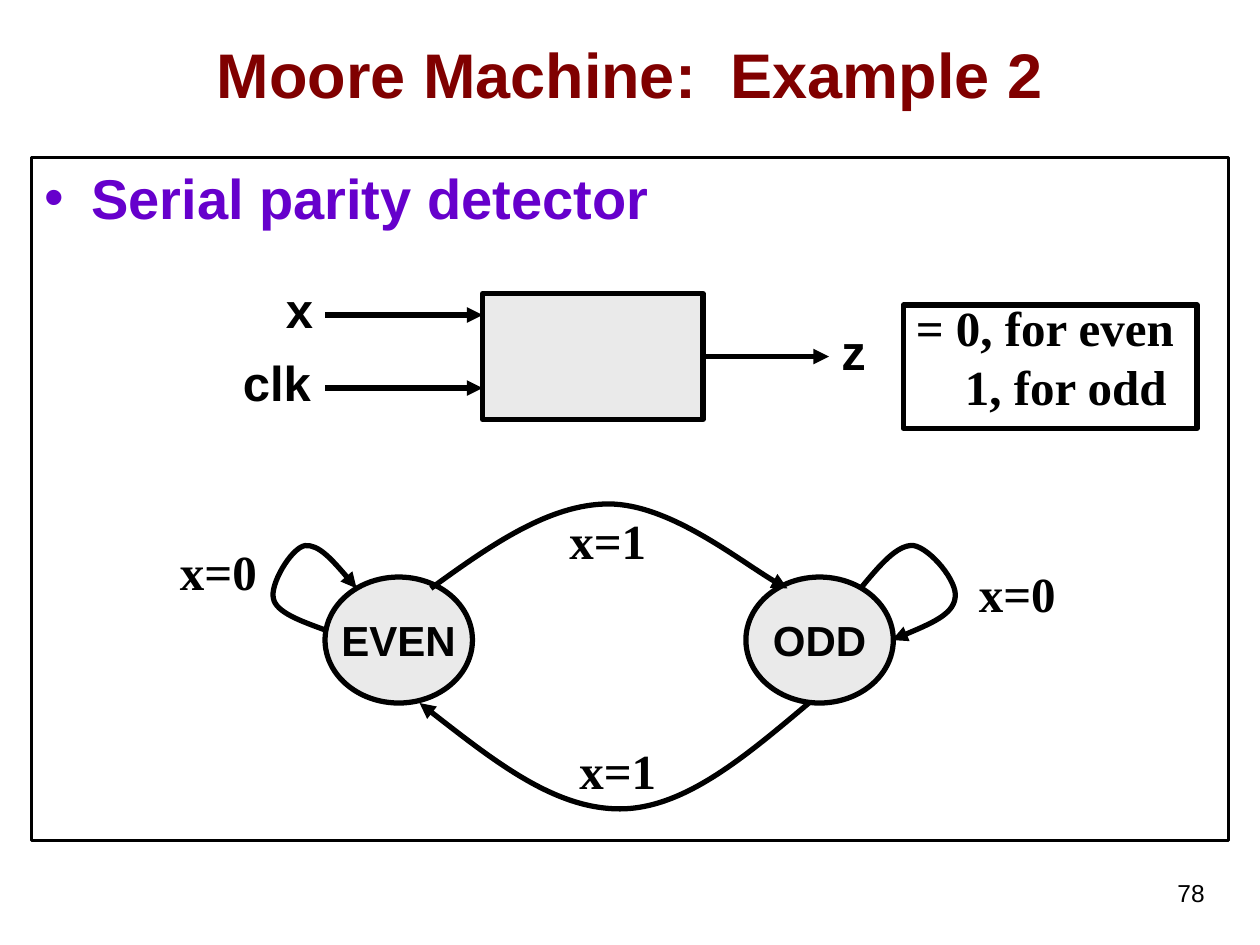
from pptx import Presentation
from pptx.dml.color import RGBColor
from pptx.enum.shapes import MSO_CONNECTOR, MSO_SHAPE
from pptx.enum.text import MSO_ANCHOR, MSO_AUTO_SIZE, PP_ALIGN
from pptx.oxml.ns import qn
from pptx.util import Inches, Pt
from lxml.etree import SubElement

BLACK = "000000"
GRAY = "EAEAEA"
SERIF = "Times New Roman"


def color(value):
    return RGBColor.from_string(value)


def place(sp, x, y, w, h):
    sp.left, sp.top, sp.width, sp.height = map(Inches, (x, y, w, h))


def set_line(sp, width=3):
    sp.line.color.rgb = color(BLACK)
    sp.line.width = Pt(width)


def add_arrowhead(sp):
    SubElement(sp.line._get_or_add_ln(), qn("a:tailEnd"), type="triangle")


def write(sp, text, size=28, font="Arial", fill=BLACK, bold=True, align=None,
          anchor=None, wrap=True, spacing=None, before=None):
    tf = sp.text_frame
    tf.word_wrap = wrap
    tf.auto_size = MSO_AUTO_SIZE.NONE
    if anchor is not None:
        tf.vertical_anchor = anchor
    tf.text = text
    for p in tf.paragraphs:
        p.alignment = align
        p.line_spacing = spacing
        p.space_before = before
        f = p.runs[0].font
        f.size, f.name, f.bold = Pt(size), font, bold
        f.color.rgb = color(fill)
    return tf


def add_label(s, text, x, y, w, h=0.57, **fmt):
    sp = s.shapes.add_textbox(*map(Inches, (x, y, w, h)))
    return write(sp, text, **fmt)


def add_box(s, kind, x, y, w, h, fill=None):
    sp = s.shapes.add_shape(kind, *map(Inches, (x, y, w, h)))
    sp.shadow.inherit = False
    if fill:
        sp.fill.solid()
        sp.fill.fore_color.rgb = color(fill)
    else:
        sp.fill.background()
    set_line(sp)
    return sp


def add_state(s, name, x):
    sp = add_box(s, MSO_SHAPE.OVAL, x, 4.58, 1.17, 1, GRAY)
    write(sp, name, size=24, align=PP_ALIGN.CENTER,
          anchor=MSO_ANCHOR.MIDDLE, wrap=False)


def add_arrow(s, x1, x2, y):
    cn = s.shapes.add_connector(MSO_CONNECTOR.STRAIGHT,
                                *map(Inches, (x1, y, x2, y)))
    set_line(cn)
    add_arrowhead(cn)
    SubElement(cn._element.spPr, qn("a:effectLst"))


def add_curve(s, points):
    start, *rest = [(Inches(x), Inches(y)) for x, y in points]
    fb = s.shapes.build_freeform(*start)
    fb.add_line_segments(rest, close=False)
    sp = fb.convert_to_shape()
    path = next(sp._element.iter(qn("a:path")))
    segments = path.findall(qn("a:lnTo"))
    for i in range(0, len(segments), 3):
        bezier = SubElement(path, qn("a:cubicBezTo"))
        for seg in segments[i:i + 3]:
            bezier.append(seg[0])
            path.remove(seg)
    sp.shadow.inherit = False
    sp.fill.background()
    set_line(sp)
    add_arrowhead(sp)


def main():
    prs = Presentation()
    prs.slide_width, prs.slide_height = Inches(10), Inches(7.5)
    s = prs.slides.add_slide(prs.slide_layouts[1])

    title, body = s.placeholders
    place(title, 0.75, 0.25, 8.5, 0.67)
    write(title, "Moore Machine:  Example 2", size=36, fill="800000",
          align=PP_ALIGN.CENTER, anchor=MSO_ANCHOR.MIDDLE)
    place(body, 0.25, 1.25, 9.5, 5.42)
    set_line(body, 1.5)
    write(body, "Serial parity detector", size=32, fill="6600CC")
    add_label(s, "78", 7.58, 6.92, 2.08, 0.33, size=14, bold=False,
              align=PP_ALIGN.RIGHT)

    add_box(s, MSO_SHAPE.RECTANGLE, 3.83, 2.33, 1.75, 1, GRAY)
    for x1, x2, y in [(2.58, 3.83, 2.5), (2.58, 3.83, 3.08), (5.58, 6.58, 2.83)]:
        add_arrow(s, x1, x2, y)
    for text, x, y in [("x", 2.17, 2.17), ("clk", 1.83, 2.75), ("z", 6.58, 2.5)]:
        add_label(s, text, x, y, 1.25)

    add_state(s, "EVEN", 2.58)
    add_state(s, "ODD", 5.92)
    even_to_odd = [(3.42, 4.67), (3.89, 4.33), (4.36, 4), (4.83, 4),
                   (5.31, 4), (6.01, 4.56), (6.25, 4.67)]
    odd_to_even = [(6.42, 5.58), (5.92, 6), (5.43, 6.42), (4.92, 6.42),
                   (4.4, 6.42), (3.87, 6), (3.33, 5.58)]
    even_loop = [(2.58, 5), (2.39, 4.93), (2.19, 4.86), (2.17, 4.75),
                 (2.14, 4.64), (2.31, 4.35), (2.42, 4.33),
                 (2.53, 4.32), (2.68, 4.49), (2.83, 4.67)]
    odd_loop = [(6.83, 4.67), (6.98, 4.49), (7.12, 4.32), (7.25, 4.33),
                (7.38, 4.35), (7.61, 4.62), (7.58, 4.75),
                (7.56, 4.88), (7.32, 4.98), (7.08, 5.08)]
    for points in (even_to_odd, odd_to_even, even_loop, odd_loop):
        add_curve(s, points)
    for text, x, y in [("x=1", 4.42, 4), ("x=0", 1.33, 4.25),
                       ("x=0", 7.67, 4.42), ("x=1", 4.5, 5.83)]:
        add_label(s, text, x, y, 0.92, font=SERIF)

    legend = add_box(s, MSO_SHAPE.RECTANGLE, 7.17, 2.42, 2.33, 0.98)
    tf = write(legend, "= 0, for even\n1, for odd", font=SERIF,
               align=PP_ALIGN.LEFT, anchor=MSO_ANCHOR.TOP,
               spacing=0.75, before=Pt(8.4))
    tf.paragraphs[1]._p.get_or_add_pPr().set("marL", str(Inches(0.39)))

    prs.save("out.pptx")


if __name__ == "__main__":
    main()
